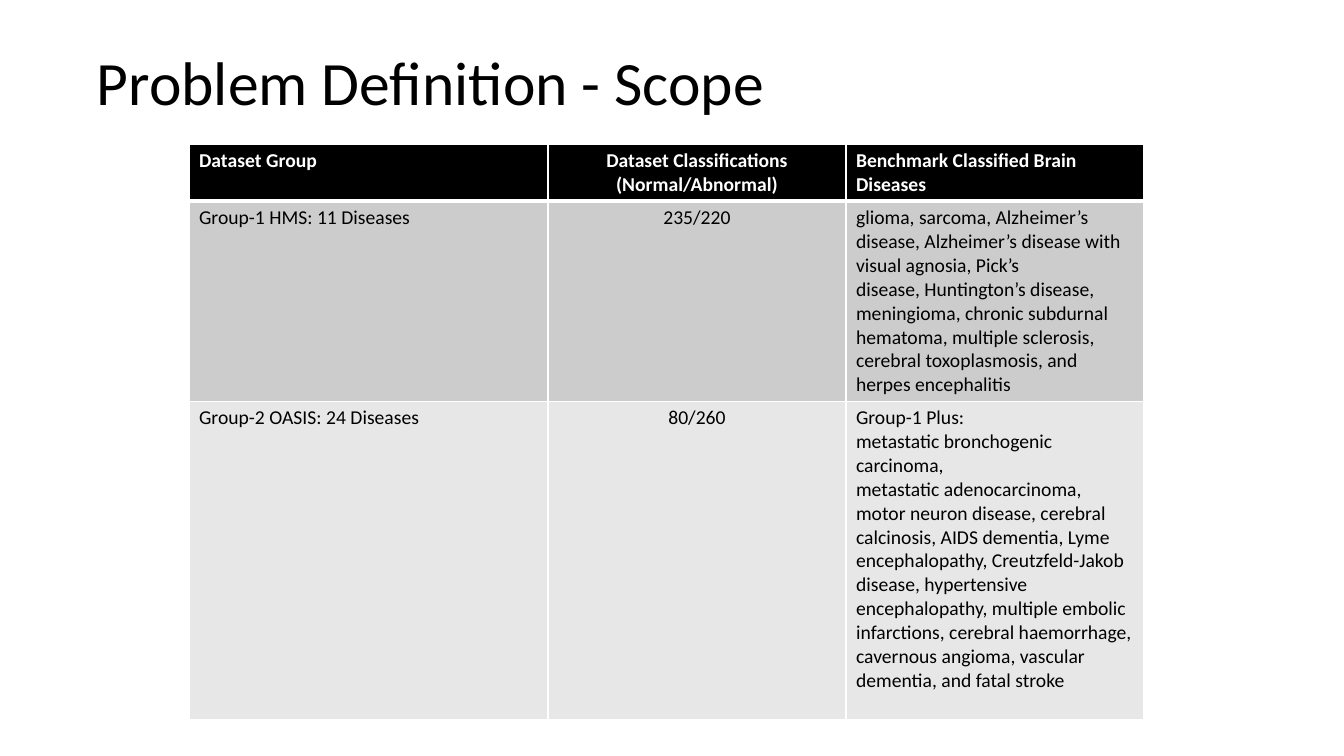
from lxml.etree import SubElement
from pptx import Presentation
from pptx.dml.color import RGBColor as Rgb
from pptx.enum.text import MSO_ANCHOR as Anchor, PP_ALIGN as Align
from pptx.oxml.ns import qn
from pptx.util import Emu, Pt

EMU_PER_PX = 914400 / 100.8
FONT = "Calibri"
COLORS = {
    "ink": "000000",
    "paper": "FFFFFF",
    "header": "000000",
    "dark_band": "CCCCCC",
    "light_band": "E7E7E7",
}
COLUMN_WIDTHS = [359, 298, 298]
ROW_HEIGHTS = [57, 200, 318]
ROW_FILLS = ["header", "dark_band", "light_band"]
ROWS = [
    [
        "Dataset Group",
        "Dataset Classifications (Normal/Abnormal)",
        "Benchmark Classified Brain Diseases",
    ],
    [
        "Group-1 HMS: 11 Diseases",
        "235/220",
        "glioma, sarcoma, Alzheimer’s disease, Alzheimer’s disease with visual agnosia, Pick’s\n"
        "disease, Huntington’s disease, meningioma, chronic subdurnal hematoma, multiple sclerosis,\n"
        "cerebral toxoplasmosis, and herpes encephalitis",
    ],
    [
        "Group-2 OASIS: 24 Diseases",
        "80/260",
        "Group-1 Plus:\n"
        "metastatic bronchogenic carcinoma,\n"
        "metastatic adenocarcinoma, motor neuron disease, cerebral calcinosis, AIDS dementia, Lyme\n"
        "encephalopathy, Creutzfeld-Jakob disease, hypertensive encephalopathy, multiple embolic\n"
        "infarctions, cerebral haemorrhage, cavernous angioma, vascular dementia, and fatal stroke",
    ],
]


def px(length):
    """Turn pixels into EMU."""
    return Emu(round(length * EMU_PER_PX))


def style_text(frame, size, color, bold=False, align=Align.LEFT):
    """Format every paragraph and run of a text frame."""
    for para in frame.paragraphs:
        para.alignment = align
        for span in para.runs:
            span.font.name = FONT
            span.font.size = Pt(size)
            span.font.bold = bold
            span.font.color.rgb = Rgb.from_string(COLORS[color])


def add_title(page, text):
    """Add the slide title."""
    box = page.shapes.add_textbox(px(87), px(13), px(1159), px(146))
    frame = box.text_frame
    frame.word_wrap = True
    frame.vertical_anchor = Anchor.MIDDLE
    frame.text = text
    frame.paragraphs[0].line_spacing = 0.9
    style_text(frame, 44, "ink")


def set_borders(cell, top, bottom):
    """Draw the four cell borders with the given top and bottom widths."""
    properties = cell._tc.get_or_add_tcPr()
    for side, width in (("L", 1), ("R", 1), ("T", top), ("B", bottom)):
        line = SubElement(properties, qn(f"a:ln{side}"), w=str(Pt(width)))
        fill = SubElement(line, qn("a:solidFill"))
        SubElement(fill, qn("a:srgbClr"), val=COLORS["paper"])


def fill_cell(cell, text, row, column):
    """Write and style one table cell."""
    is_header = row == 0
    set_borders(cell, top=3 if row == 1 else 1, bottom=3 if is_header else 1)
    cell.fill.solid()
    cell.fill.fore_color.rgb = Rgb.from_string(COLORS[ROW_FILLS[row]])
    cell.text_frame.text = text
    style_text(
        cell.text_frame,
        14,
        "paper" if is_header else "ink",
        is_header,
        Align.CENTER if column == 1 else Align.LEFT,
    )


def add_dataset_table(page):
    """Add the table of dataset groups."""
    frame = page.shapes.add_table(
        len(ROWS), len(COLUMN_WIDTHS), px(189), px(144),
        px(sum(COLUMN_WIDTHS)), px(sum(ROW_HEIGHTS)),
    )
    table = frame.table
    table.horz_banding = False
    for column, width in zip(table.columns, COLUMN_WIDTHS):
        column.width = px(width)
    for row, height in zip(table.rows, ROW_HEIGHTS):
        row.height = px(height)
    for row, texts in enumerate(ROWS):
        for column, text in enumerate(texts):
            fill_cell(table.cell(row, column), text, row, column)


def main():
    """Build and save the slide."""
    deck = Presentation()
    deck.slide_width, deck.slide_height = px(1344), px(756)
    page = deck.slides.add_slide(deck.slide_layouts[6])
    add_title(page, "Problem Definition - Scope")
    add_dataset_table(page)
    deck.save("out.pptx")


if __name__ == "__main__":
    main()
